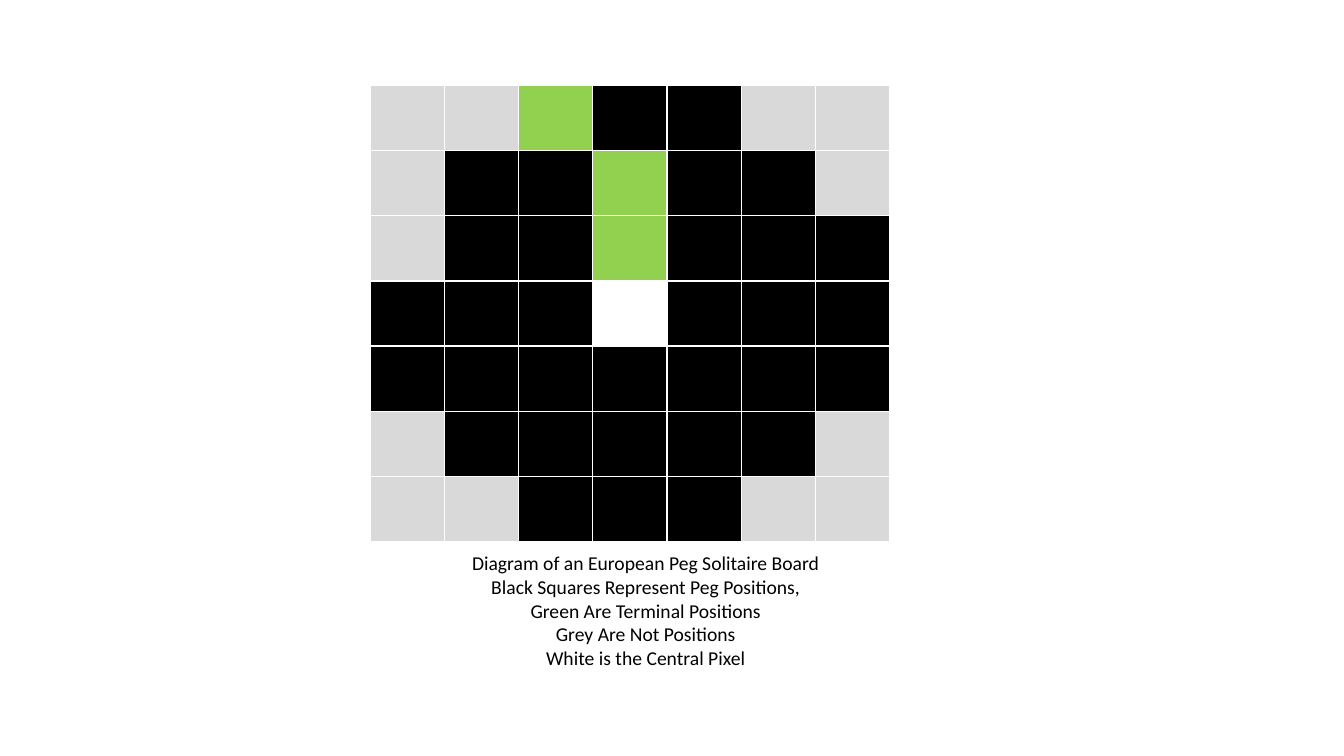
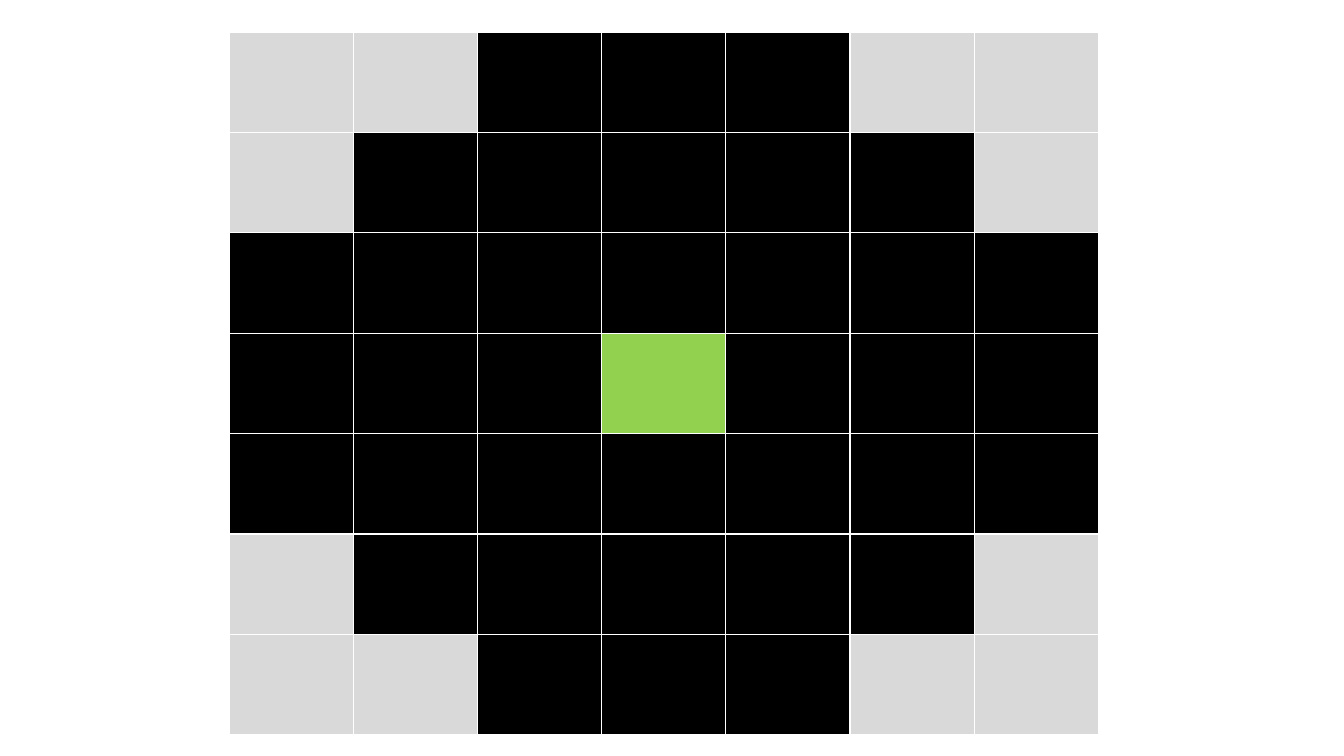
import lxml.etree
import pptx
import pptx.dml.color
import pptx.enum.text
import pptx.oxml.ns
import pptx.util

Cm = pptx.util.Cm
Pt = pptx.util.Pt

COLOURS = {
    "outside": "D9D9D9",
    "peg": "000000",
    "terminal": "92D050",
    "centre": "FFFFFF",
    "border": "FFFFFF",
    "text": "000000",
}
SQUARES = {".": "outside", "#": "peg", "T": "terminal", "O": "centre"}

SOLITAIRE_BOARD = [
    "..T##..",
    ".##T##.",
    ".##T###",
    "###O###",
    "#######",
    ".#####.",
    "..###..",
]
CENTRAL_BOARD = [
    "..###..",
    ".#####.",
    "#######",
    "###T###",
    "#######",
    ".#####.",
    "..###..",
]
CAPTION = [
    "Diagram of an European Peg Solitaire Board",
    "Black Squares Represent Peg Positions,",
    "Green Are Terminal Positions",
    "Grey Are Not Positions",
    "White is the Central Pixel",
]


class BoardDeck:
    font = "Calibri"
    text_size = Pt(14)
    border_width = Pt(1)

    def __init__(self):
        self.deck = pptx.Presentation()
        self.deck.slide_width = Cm(33.87)
        self.deck.slide_height = Cm(19.05)
        self.page = None

    def colour(self, name):
        return pptx.dml.color.RGBColor.from_string(COLOURS[name])

    def add_page(self):
        self.page = self.deck.slides.add_slide(self.deck.slide_layouts[6])

    def add_borders(self, cell):
        properties = cell._tc.get_or_add_tcPr()
        qn = pptx.oxml.ns.qn
        for side in ("lnL", "lnR", "lnT", "lnB"):
            line = lxml.etree.SubElement(properties, qn(f"a:{side}"), w=str(self.border_width))
            fill = lxml.etree.SubElement(line, qn("a:solidFill"))
            lxml.etree.SubElement(fill, qn("a:srgbClr"), val=COLOURS["border"])

    def add_board(self, pattern, left, top, square_width, square_height):
        rows, columns = len(pattern), len(pattern[0])
        frame = self.page.shapes.add_table(
            rows, columns, Cm(left), Cm(top),
            Cm(square_width * columns), Cm(square_height * rows),
        )
        table = frame.table
        table.first_row = False
        table.horz_banding = False
        for column in table.columns:
            column.width = Cm(square_width)
        for row, marks in zip(table.rows, pattern):
            row.height = Cm(square_height)
            for cell, mark in zip(row.cells, marks):
                self.add_borders(cell)
                cell.fill.solid()
                cell.fill.fore_color.rgb = self.colour(SQUARES[mark])

    def add_caption(self, lines, left, top, width, height):
        box = self.page.shapes.add_textbox(Cm(left), Cm(top), Cm(width), Cm(height))
        frame = box.text_frame
        frame.word_wrap = False
        frame.auto_size = pptx.enum.text.MSO_AUTO_SIZE.SHAPE_TO_FIT_TEXT
        for index, line in enumerate(lines):
            para = frame.add_paragraph() if index else frame.paragraphs[0]
            para.alignment = pptx.enum.text.PP_ALIGN.CENTER
            span = para.add_run()
            span.text = line
            span.font.name = self.font
            span.font.size = self.text_size
            span.font.color.rgb = self.colour("text")

    def save(self):
        self.deck.save("out.pptx")


def main():
    boards = BoardDeck()
    boards.add_page()
    boards.add_caption(CAPTION, 11.6, 13.77, 9.35, 3.25)
    boards.add_board(SOLITAIRE_BOARD, 9.33, 2.16, 1.87, 1.64)
    boards.add_page()
    boards.add_board(CENTRAL_BOARD, 5.77, 0.81, 3.13, 2.53)
    boards.save()


if __name__ == "__main__":
    main()
